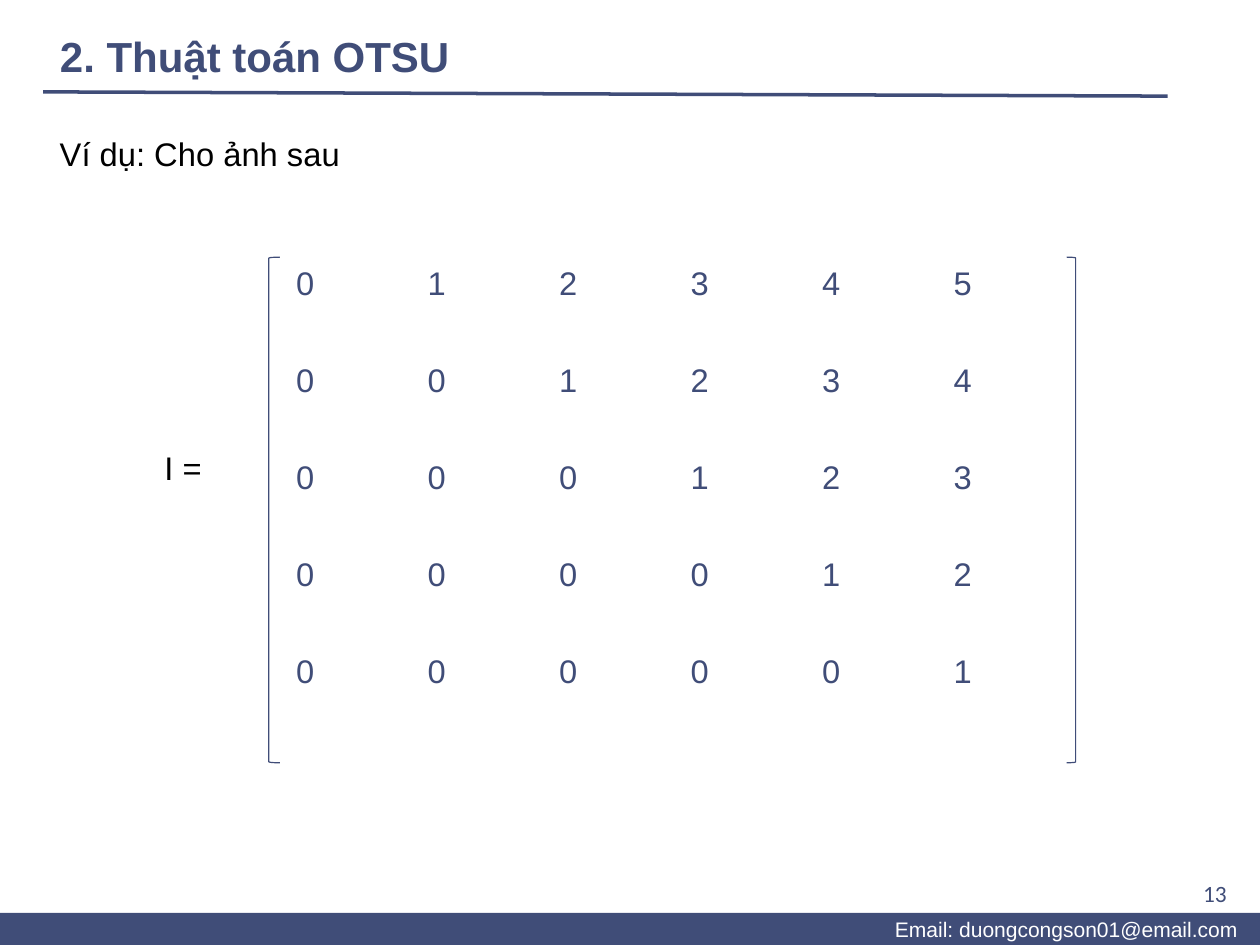
"""Build the slide that introduces the example image matrix for the OTSU algorithm."""
from dataclasses import dataclass

from lxml import etree
from pptx import Presentation
from pptx import util as u
from pptx.dml.color import RGBColor
from pptx.enum import shapes, text
from pptx.oxml import ns

NAVY = RGBColor(0x40, 0x4D, 0x78)
BLACK = RGBColor(0, 0, 0)
WHITE = RGBColor(255, 255, 255)
PLAIN_TABLE_STYLE = "{2D5ABB26-0587-4C30-8999-92F81FD0307C}"
MATRIX_ROWS, MATRIX_COLUMNS = 5, 6


@dataclass(frozen=True)
class Area:
    left: float
    top: float
    width: float
    height: float

    def lengths(self) -> tuple:
        return tuple(u.Pt(side) for side in (self.left, self.top, self.width, self.height))


@dataclass(frozen=True)
class Style:
    size: float
    color: RGBColor
    font: str = "Arial"
    bold: bool = False
    align: text.PP_ALIGN = text.PP_ALIGN.LEFT


@dataclass(frozen=True)
class Label:
    words: str
    area: Area
    style: Style


@dataclass(frozen=True)
class Bracket:
    kind: shapes.MSO_SHAPE
    area: Area


BODY = Style(14, BLACK)
ENTRY = Style(14, NAVY)
LABELS = (
    Label("Ví dụ: Cho ảnh sau", Area(18.5, 54, 135.4, 24.5), BODY),
    Label("I =", Area(63.4, 188.6, 30.2, 24.5), BODY),
)
PAGE_NUMBER = Label("13", Area(500.4, 367.5, 32.4, 31),
                    Style(10, NAVY, "Calibri", align=text.PP_ALIGN.RIGHT))
BRACKETS = (
    Bracket(shapes.MSO_SHAPE.LEFT_BRACKET, Area(115.2, 110.2, 4.8, 216.7)),
    Bracket(shapes.MSO_SHAPE.RIGHT_BRACKET, Area(457.2, 110.2, 3.8, 216.7)),
)


def write(frame, words: str, style: Style) -> None:
    frame.text = words
    para = frame.paragraphs[0]
    para.alignment = style.align
    for span in para.runs:
        span.font.size = u.Pt(style.size)
        span.font.name = style.font
        span.font.bold = style.bold
        span.font.color.rgb = style.color


def set_frame(frame, anchor: text.MSO_ANCHOR, inset: float = 7.2) -> None:
    frame.word_wrap = True
    frame.auto_size = text.MSO_AUTO_SIZE.NONE
    frame.vertical_anchor = anchor
    frame.margin_left = frame.margin_right = u.Pt(inset)
    frame.margin_top = frame.margin_bottom = u.Pt(7.2)


def add_footer(page) -> None:
    bar = page.shapes.add_shape(shapes.MSO_SHAPE.RECTANGLE, *Area(0, 391.2, 540, 13.8).lengths())
    bar.shadow.inherit = False
    bar.fill.solid()
    bar.fill.fore_color.rgb = NAVY
    bar.line.fill.background()
    set_frame(bar.text_frame, text.MSO_ANCHOR.MIDDLE, inset=9.7)
    write(bar.text_frame, "Email: duongcongson01@email.com",
          Style(9, WHITE, align=text.PP_ALIGN.RIGHT))


def add_rule(page) -> None:
    rule = page.shapes.add_connector(shapes.MSO_CONNECTOR.STRAIGHT,
                                     u.Pt(18.5), u.Pt(39.4), u.Pt(500.4), u.Pt(41.2))
    rule.line.color.rgb = NAVY
    rule.line.width = u.Pt(1.5)
    etree.SubElement(rule._element.spPr, ns.qn("a:effectLst"))


def add_title(page) -> None:
    title = page.shapes.title
    title.left, title.top, title.width, title.height = Area(18.5, 5.8, 503.3, 34.6).lengths()
    set_frame(title.text_frame, text.MSO_ANCHOR.TOP)
    write(title.text_frame, "2. Thuật toán OTSU", Style(18, NAVY, bold=True))


def add_label(page, label: Label):
    box = page.shapes.add_textbox(*label.area.lengths())
    box.text_frame.word_wrap = False
    write(box.text_frame, label.words, label.style)
    return box


def add_bracket(page, bracket: Bracket) -> None:
    shape = page.shapes.add_shape(bracket.kind, *bracket.area.lengths())
    shape.shadow.inherit = False
    shape.fill.background()
    shape.line.color.rgb = NAVY
    shape.line.width = u.Pt(0.5)


def add_matrix(page) -> None:
    area = Area(119.7, 110.2, 338.2, 207.9)
    table = page.shapes.add_table(MATRIX_ROWS, MATRIX_COLUMNS, *area.lengths()).table
    table.first_row = table.horz_banding = False
    table._tbl.tblPr.find(ns.qn("a:tableStyleId")).text = PLAIN_TABLE_STYLE
    for row in range(MATRIX_ROWS):
        for column in range(MATRIX_COLUMNS):
            cell = table.cell(row, column)
            cell.fill.background()
            write(cell.text_frame, str(max(0, column - row)), ENTRY)


def main() -> None:
    deck = Presentation()
    deck.slide_width, deck.slide_height = u.Pt(540), u.Pt(405)
    page = deck.slides.add_slide(deck.slide_layouts.get_by_name("Title Only"))
    add_footer(page)
    add_rule(page)
    add_title(page)
    number = add_label(page, PAGE_NUMBER)
    set_frame(number.text_frame, text.MSO_ANCHOR.MIDDLE)
    for label in LABELS:
        add_label(page, label)
    for bracket in BRACKETS:
        add_bracket(page, bracket)
    add_matrix(page)
    deck.save("out.pptx")


if __name__ == "__main__":
    main()
